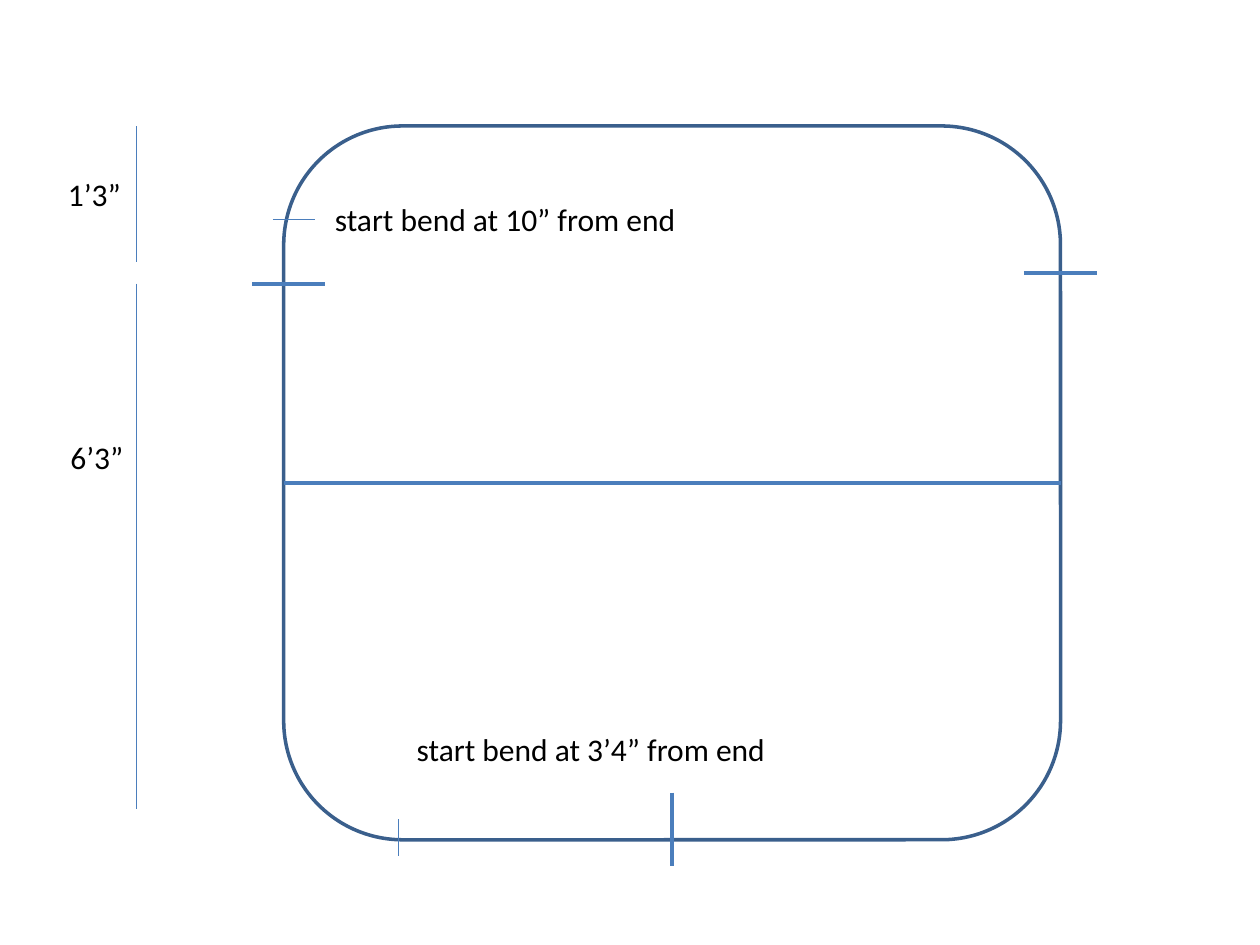
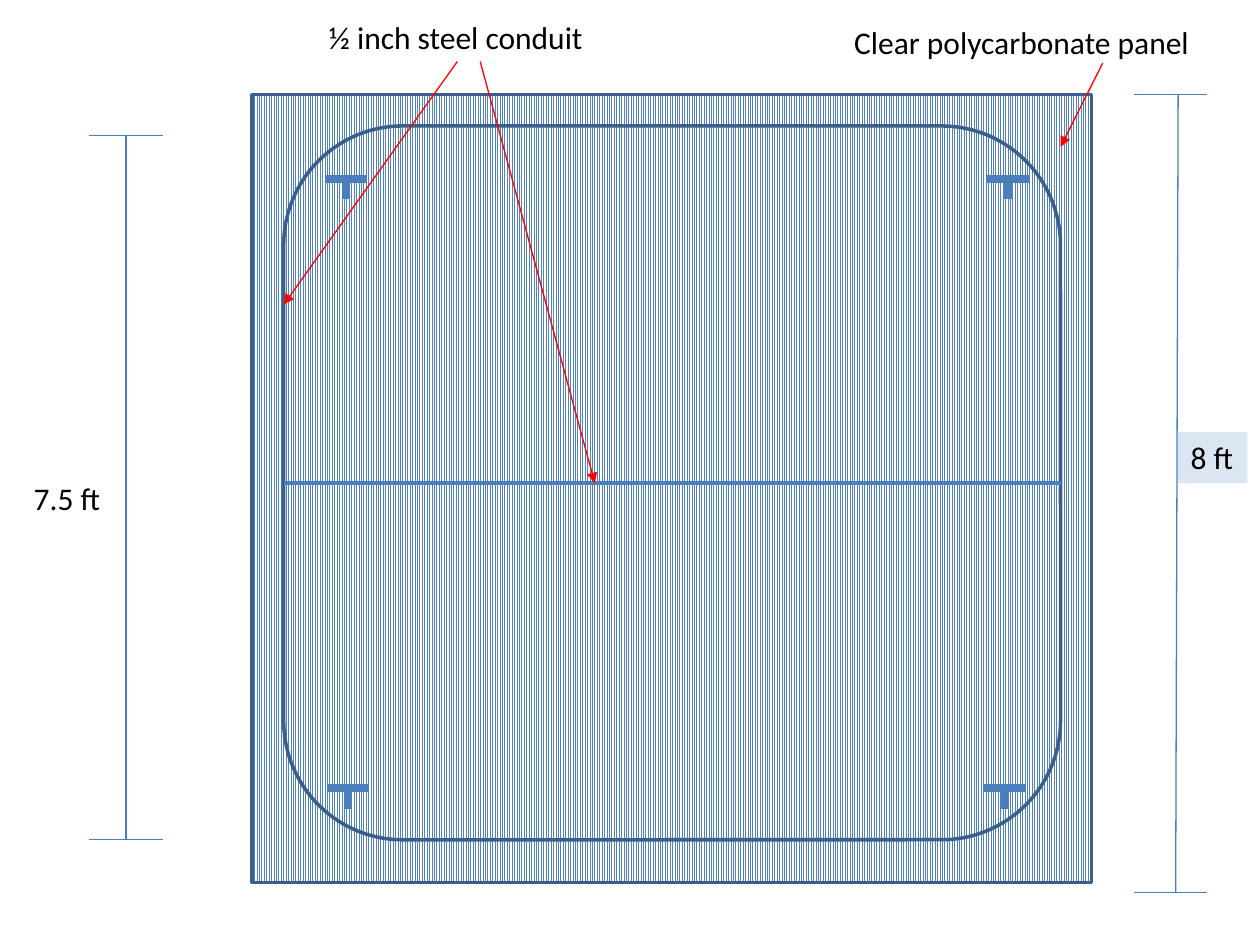
"""Build two slides showing a bent conduit frame and its clear panel."""
import pptx
import pptx.dml.color
import pptx.enum.dml
import pptx.enum.shapes
import pptx.enum.text
import pptx.oxml.ns
import pptx.util
from lxml import etree

Cm = pptx.util.Cm
Pt = pptx.util.Pt
RGBColor = pptx.dml.color.RGBColor
SHAPES = pptx.enum.shapes.MSO_SHAPE
qn = pptx.oxml.ns.qn

OUTLINE = RGBColor(0x3A, 0x5F, 0x8C)
LINE = RGBColor(0x4B, 0x7E, 0xBC)
HATCH = RGBColor(0x4F, 0x81, 0xBD)
LABEL_FILL = RGBColor(0xDC, 0xE6, 0xF2)
ARROW = RGBColor(0xFF, 0x00, 0x00)
BLACK = RGBColor(0x00, 0x00, 0x00)
WHITE = RGBColor(0xFF, 0xFF, 0xFF)

FRAME_LEFT, FRAME_TOP, FRAME_WIDTH, FRAME_HEIGHT = 5.72, 2.54, 15.66, 14.39
FRAME_RIGHT = FRAME_LEFT + FRAME_WIDTH
FRAME_BOTTOM = FRAME_TOP + FRAME_HEIGHT
CROSSBAR_Y = 9.74
PANEL_LEFT, PANEL_TOP, PANEL_WIDTH, PANEL_HEIGHT = 5.08, 1.91, 16.93, 15.88
THIN, THICK, BRACKET = 0.75, 2.25, 4.5


def add_line(slide, start, end, width=THIN, color=LINE):
    connector = slide.shapes.add_connector(
        pptx.enum.shapes.MSO_CONNECTOR.STRAIGHT,
        Cm(start[0]), Cm(start[1]), Cm(end[0]), Cm(end[1]))
    connector.line.color.rgb = color
    connector.line.width = Pt(width)
    etree.SubElement(connector.element.spPr, qn("a:effectLst"))
    return connector


def add_label(slide, text, left, top, width):
    label = slide.shapes.add_textbox(Cm(left), Cm(top), Cm(width), Cm(1.03))
    label.text_frame.word_wrap = False
    label.text_frame.auto_size = pptx.enum.text.MSO_AUTO_SIZE.SHAPE_TO_FIT_TEXT
    paragraph = label.text_frame.paragraphs[0]
    paragraph.text = text
    paragraph.font.name = "Calibri"
    paragraph.font.size = Pt(18)
    paragraph.font.color.rgb = BLACK
    return label


presentation = pptx.Presentation()
presentation.slide_width = Cm(25.4)
presentation.slide_height = Cm(19.05)
blank_layout = presentation.slide_layouts[6]
bending_slide = presentation.slides.add_slide(blank_layout)
assembly_slide = presentation.slides.add_slide(blank_layout)

panel = assembly_slide.shapes.add_shape(
    SHAPES.RECTANGLE, Cm(PANEL_LEFT), Cm(PANEL_TOP), Cm(PANEL_WIDTH), Cm(PANEL_HEIGHT))
panel.shadow.inherit = False
panel.fill.patterned()
panel.fill.pattern = pptx.enum.dml.MSO_PATTERN.LIGHT_VERTICAL
panel.fill.fore_color.rgb = HATCH
panel.fill.back_color.rgb = WHITE
panel.line.color.rgb = OUTLINE
panel.line.width = Pt(2)

for slide in (bending_slide, assembly_slide):
    frame = slide.shapes.add_shape(
        SHAPES.ROUNDED_RECTANGLE,
        Cm(FRAME_LEFT), Cm(FRAME_TOP), Cm(FRAME_WIDTH), Cm(FRAME_HEIGHT))
    frame.shadow.inherit = False
    frame.fill.background()
    frame.line.color.rgb = OUTLINE
    frame.line.width = Pt(2)
    add_line(slide, (FRAME_LEFT, CROSSBAR_Y), (FRAME_RIGHT, CROSSBAR_Y), THICK)

for start, end, width in (
    ((5.08, 5.72), (6.56, 5.72), THICK),
    ((20.64, 5.5), (22.12, 5.5), THICK),
    ((13.55, 15.98), (13.55, 17.46), THICK),
    ((5.5, 4.42), (6.35, 4.42), THIN),
    ((8.04, 16.51), (8.04, 17.25), THIN),
    ((2.75, 2.54), (2.75, 5.29), THIN),
    ((2.75, 5.72), (2.75, 16.3), THIN),
):
    add_line(bending_slide, start, end, width)

for text, left, top, width in (
    ("1’3”", 1.12, 3.4, 1.57),
    ("6’3”", 1.17, 8.71, 1.6),
    ("start bend at 10” from end", 6.5, 3.91, 7.47),
    ("start bend at 3’4” from end", 8.15, 14.6, 7.62),
):
    add_label(bending_slide, text, left, top, width)

for top_x, bottom_x, top, bottom, cap_left in (
    (2.54, 2.54, 2.73, FRAME_BOTTOM, 1.8),
    (23.75, 23.7, PANEL_TOP, 17.99, 22.86),
):
    add_line(assembly_slide, (top_x, top), (bottom_x, bottom))
    for cap_y in (top, bottom):
        add_line(assembly_slide, (cap_left, cap_y), (cap_left + 1.48, cap_y))

for left, top in ((6.56, 3.6), (19.9, 3.6), (6.6, 15.88), (19.83, 15.88)):
    middle = left + 0.42
    add_line(assembly_slide, (left, top), (left + 0.84, top), BRACKET)
    add_line(assembly_slide, (middle, top), (middle, top + 0.42), BRACKET)

add_label(assembly_slide, "7.5 ft", 0.43, 9.53, 1.88)
panel_height_label = add_label(assembly_slide, "8 ft", 23.75, 8.71, 1.4)
panel_height_label.fill.solid()
panel_height_label.fill.fore_color.rgb = LABEL_FILL
add_label(assembly_slide, "½ inch steel conduit", 6.38, 0.23, 5.69)
add_label(assembly_slide, "Clear polycarbonate panel", 16.97, 0.33, 7.34)

for start, end in (
    ((9.22, 1.24), (FRAME_LEFT, 6.14)),
    ((9.68, 1.24), (11.99, CROSSBAR_Y)),
    ((22.23, 1.27), (FRAME_RIGHT, 2.96)),
):
    arrow = add_line(assembly_slide, start, end, THIN, ARROW)
    etree.SubElement(arrow.line._get_or_add_ln(), qn("a:tailEnd"), type="triangle")

presentation.save("out.pptx")
